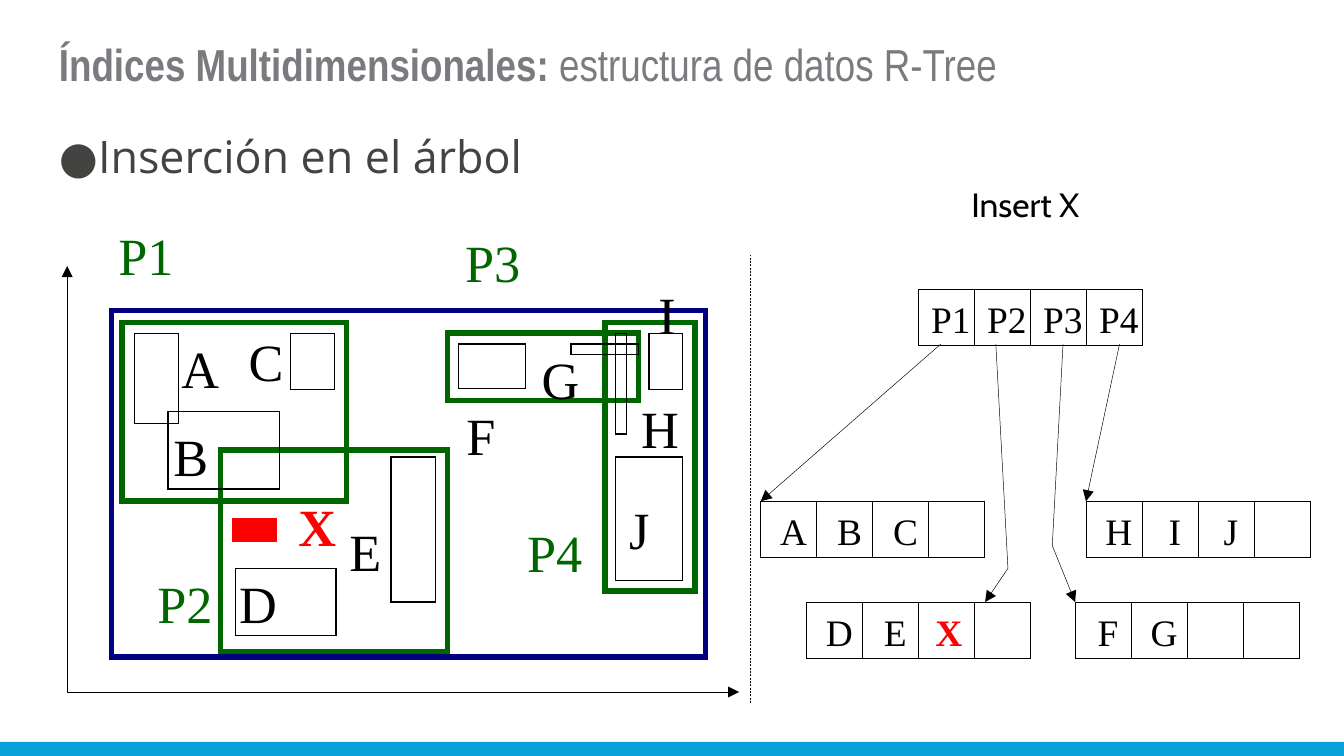
from dataclasses import dataclass
from typing import NamedTuple, Optional

from lxml import etree
from pptx import Presentation
from pptx.dml.color import RGBColor
from pptx.enum.dml import MSO_LINE
from pptx.enum.shapes import MSO_CONNECTOR, MSO_SHAPE
from pptx.enum.text import MSO_ANCHOR, MSO_AUTO_SIZE, PP_ALIGN
from pptx.oxml.ns import qn
from pptx.util import Inches, Pt

RECTANGLE = MSO_SHAPE.RECTANGLE
STRAIGHT = MSO_CONNECTOR.STRAIGHT
DASH = MSO_LINE.DASH
MIDDLE = MSO_ANCHOR.MIDDLE
CENTER = PP_ALIGN.CENTER
FIT_SHAPE = MSO_AUTO_SIZE.SHAPE_TO_FIT_TEXT


@dataclass(frozen=True)
class Theme:
    black: str = "000000"
    red: str = "FF0000"
    green: str = "006600"
    navy: str = "000080"
    footer: str = "08A1D9"
    heading: str = "797B7E"
    body: str = "434342"
    heading_font: str = "Arial Narrow"
    body_font: str = "Open Sans"
    caption_font: str = "Cabin"
    label_font: str = "Times New Roman"
    heading_size: int = 24
    caption_size: int = 18
    label_size: int = 28
    node_size: int = 20
    thick: float = 3
    medium: float = 0.75
    thin: float = 0.25


class Area(NamedTuple):
    left: float
    top: float
    width: float
    height: float


class Label(NamedTuple):
    text: str
    left: float
    top: float
    color: str = Theme.black


class Node(NamedTuple):
    left: float
    top: float
    entries: list[str]


THEME = Theme()
CELL = 5 / 12
CELLS_PER_NODE = 4
ENTRY_CENTER = 0.245

# Width of each letter, in ems
EMS = {"A": 0.72, "B": 0.67, "C": 0.67, "D": 0.72, "E": 0.61, "F": 0.56, "G": 0.72,
       "H": 0.72, "I": 0.33, "J": 0.39, "X": 0.72, "P": 0.56}
DIGIT_EMS = 0.5

PARTITIONS = [Area(0.91, 2.4, 1.67, 1.33), Area(4.5, 2.4, 0.67, 2),
              Area(1.64, 3.35, 1.69, 1.5), Area(3.33, 2.48, 1.42, 0.5)]
OBJECTS = [Area(1, 2.48, 0.33, 0.67), Area(2.16, 2.48, 0.33, 0.42),
           Area(1.25, 3.06, 0.83, 0.58), Area(1.75, 4.23, 0.75, 0.5),
           Area(2.91, 3.4, 0.33, 1.08), Area(3.41, 2.56, 0.5, 0.33),
           Area(4.58, 3.4, 0.5, 0.92), Area(4.83, 2.48, 0.25, 0.42),
           Area(4.25, 2.56, 0.5, 0.08), Area(4.58, 2.48, 0.08, 0.75)]
MAP_BOUNDS = Area(0.83, 2.31, 4.42, 2.58)
INSERTED = Area(1.73, 3.86, 0.33, 0.17)
MAP_LABELS = [
    Label("A", 1.25, 2.45), Label("B", 1.19, 3.11), Label("C", 1.75, 2.4),
    Label("D", 1.68, 4.2), Label("E", 2.5, 3.81), Label("F", 3.37, 2.95),
    Label("G", 3.93, 2.53), Label("H", 4.67, 2.9), Label("I", 4.8, 2.05),
    Label("J", 4.58, 3.65),
    Label("P1", 0.78, 1.61, THEME.green), Label("P2", 1.07, 4.2, THEME.green),
    Label("P3", 3.36, 1.66, THEME.green), Label("P4", 3.82, 3.82, THEME.green),
]
INSERTED_IN_MAP = Label("X", 2.12, 3.63, THEME.red)
INSERTED_IN_NODE = Label("X", 6.86, 4.48, THEME.red)
NODES = [Node(6.83, 2.15, ["P1", "P2", "P3", "P4"]), Node(8, 4.48, ["F", "G"]),
         Node(6, 4.48, ["D", "E"]), Node(8.08, 3.73, ["H", "I", "J"]),
         Node(5.66, 3.73, ["A", "B", "C"])]
AXES = [(0.5, 1.98), (0.5, 5.15), (5.5, 5.15)]
STRAIGHT_POINTERS = [[(7, 2.56), (5.66, 3.73)], [(8.33, 2.56), (8.08, 3.73)]]
BENT_POINTERS = [[(7.41, 2.56), (7.5, 4.23), (7.33, 4.48)],
                 [(7.91, 2.56), (7.83, 4.06), (8, 4.48)]]


def rgb(color: str) -> RGBColor:
    return RGBColor.from_string(color)


def add_rectangle(shapes, area: Area, line: Optional[str] = None,
                  weight: float = THEME.thin, fill: Optional[str] = None) -> None:
    box = shapes.add_shape(RECTANGLE, *map(Inches, area))
    box.shadow.inherit = False
    if fill:
        box.fill.solid()
        box.fill.fore_color.rgb = rgb(fill)
    else:
        box.fill.background()
    if line:
        box.line.color.rgb = rgb(line)
        box.line.width = Pt(weight)
        etree.SubElement(box.line._get_or_add_ln(), qn("a:miter"), lim="800000")
    else:
        box.line.fill.background()


def style_stroke(stroke, *arrow_ends: str) -> None:
    """Thin black line; arrow_ends are "headEnd" (start) and "tailEnd" (finish)."""
    stroke.line.color.rgb = rgb(THEME.black)
    stroke.line.width = Pt(THEME.thin)
    for end in arrow_ends:
        etree.SubElement(stroke.line._get_or_add_ln(), qn(f"a:{end}"), type="triangle")


def add_straight(shapes, start: tuple, finish: tuple, *arrow_ends: str):
    stroke = shapes.add_connector(STRAIGHT, *map(Inches, start + finish))
    style_stroke(stroke, *arrow_ends)
    etree.SubElement(stroke._element.spPr, qn("a:effectLst"))
    return stroke


def add_bent(shapes, points: list[tuple], *arrow_ends: str) -> None:
    start, *rest = [(Inches(x), Inches(y)) for x, y in points]
    builder = shapes.build_freeform(*start)
    builder.add_line_segments(rest, close=False)
    stroke = builder.convert_to_shape()
    stroke.shadow.inherit = False
    stroke.fill.background()
    style_stroke(stroke, *arrow_ends)


def add_text(shapes, area: Area, texts: list[str], font: str, size: int, color: str,
             inset: float = 0.05):
    """Text box with one run for each text; returns its frame and paragraph."""
    frame = shapes.add_textbox(*map(Inches, area)).text_frame
    frame.margin_left = frame.margin_right = Inches(0.1)
    frame.margin_top = frame.margin_bottom = Inches(inset)
    frame.word_wrap = True
    para = frame.paragraphs[0]
    for text in texts:
        para.add_run().text = text
    para.font.name = font
    para.font.size = Pt(size)
    para.font.color.rgb = rgb(color)
    return frame, para


def label_width(text: str, size: int) -> float:
    return 0.2 + sum(EMS.get(letter, DIGIT_EMS) for letter in text) * size / 72


def add_label(shapes, label: Label, size: int) -> None:
    area = Area(label.left, label.top, label_width(label.text, size), 0.1 + 1.2 * size / 72)
    frame, para = add_text(shapes, area, [label.text], THEME.label_font, size, label.color)
    frame.word_wrap = False
    frame.auto_size = FIT_SHAPE
    frame.vertical_anchor = MIDDLE
    para.alignment = CENTER
    para.font.bold = label.color == THEME.red


def add_node(shapes, node: Node) -> None:
    members = shapes.add_group_shape().shapes
    lefts = [node.left + index * CELL for index in range(CELLS_PER_NODE)]
    for left in lefts:
        add_rectangle(members, Area(left, node.top, CELL, CELL), THEME.black)
    for left, entry in zip(lefts, node.entries):
        label_left = left + ENTRY_CENTER - label_width(entry, THEME.node_size) / 2
        add_label(members, Label(entry, label_left, node.top), THEME.node_size)


def add_headings(shapes) -> None:
    _, title = add_text(shapes, Area(0.34, 0.17, 9.32, 0.69),
                        ["Índices Multidimensionales: ", "estructura de datos R-Tree"],
                        THEME.heading_font, THEME.heading_size, THEME.heading, 0.1)
    title.runs[0].font.bold = True

    _, bullet = add_text(shapes, Area(0.34, 0.86, 9.32, 0.75), ["Inserción en el árbol"],
                         THEME.body_font, THEME.heading_size, THEME.body, 0.1)
    properties = bullet._p.get_or_add_pPr()
    properties.set("marL", str(Inches(0.28)))
    properties.set("indent", str(Inches(-0.28)))
    properties.insert(0, etree.Element(qn("a:buFont"), typeface=THEME.body_font))
    properties.insert(1, etree.Element(qn("a:buChar"), char="●"))
    bullet.space_after = Pt(6)

    caption, _ = add_text(shapes, Area(7.13, 1.32, 1.07, 0.4), ["Insert X"],
                          THEME.caption_font, THEME.caption_size, THEME.black)
    caption.word_wrap = False
    caption.auto_size = FIT_SHAPE


def main() -> None:
    deck = Presentation()
    deck.slide_width = Inches(10)
    deck.slide_height = deck.slide_width * 9 // 16
    shapes = deck.slides.add_slide(deck.slide_layouts[6]).shapes

    add_rectangle(shapes, Area(0, 5.52, 10, 0.11), fill=THEME.footer)
    add_headings(shapes)

    for area in PARTITIONS:
        add_rectangle(shapes, area, THEME.green, THEME.thick)
    for area in OBJECTS:
        add_rectangle(shapes, area, THEME.black, THEME.medium)
    add_rectangle(shapes, MAP_BOUNDS, THEME.navy, THEME.thick)
    add_bent(shapes, AXES, "headEnd", "tailEnd")
    for label in MAP_LABELS:
        add_label(shapes, label, THEME.label_size)

    for node in NODES:
        add_node(shapes, node)
    add_straight(shapes, (5.58, 5.23), (5.58, 1.9)).line.dash_style = DASH
    for start, finish in STRAIGHT_POINTERS:
        add_straight(shapes, start, finish, "tailEnd")
    for points in BENT_POINTERS:
        add_bent(shapes, points, "tailEnd")

    add_label(shapes, INSERTED_IN_MAP, THEME.label_size)
    add_rectangle(shapes, INSERTED, THEME.red, fill=THEME.red)
    add_label(shapes, INSERTED_IN_NODE, THEME.node_size)

    deck.save("out.pptx")


if __name__ == "__main__":
    main()
